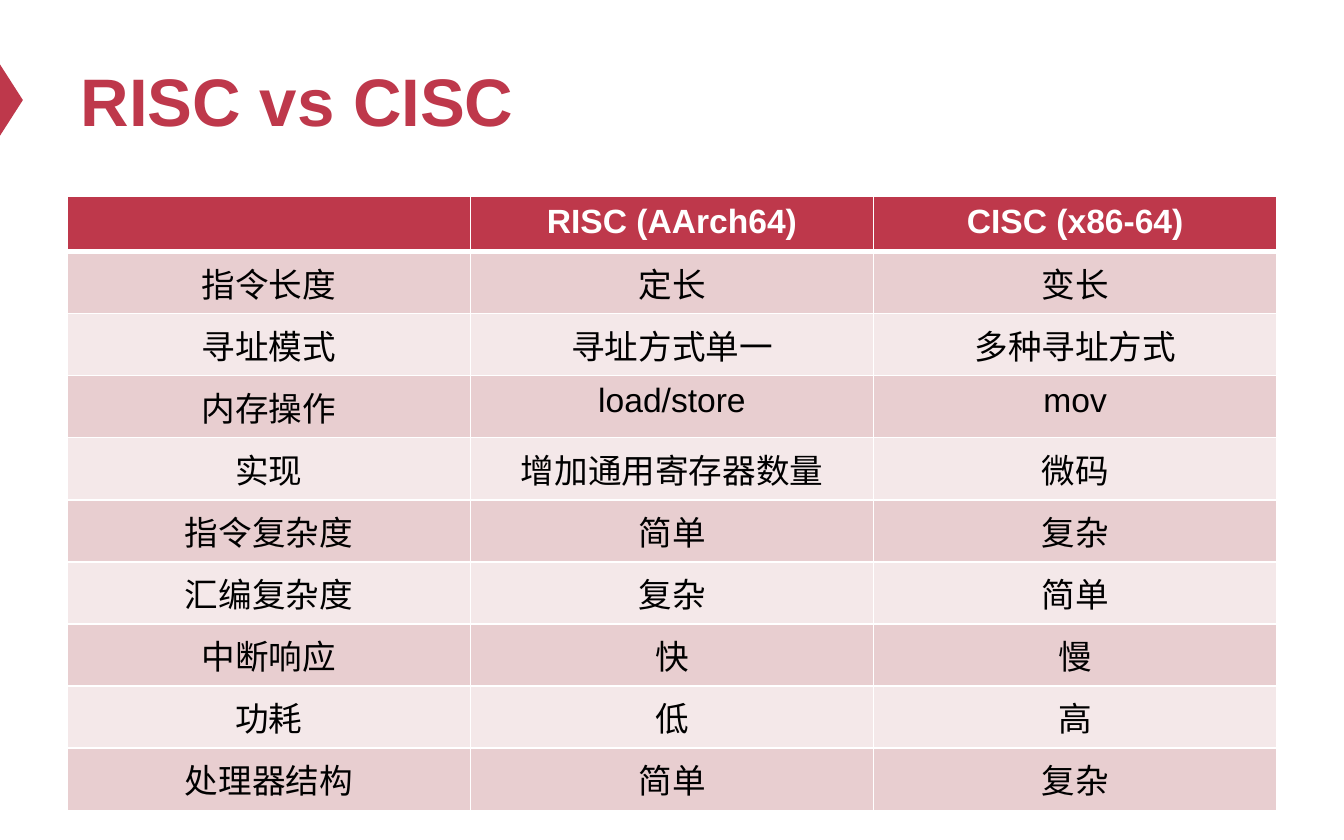
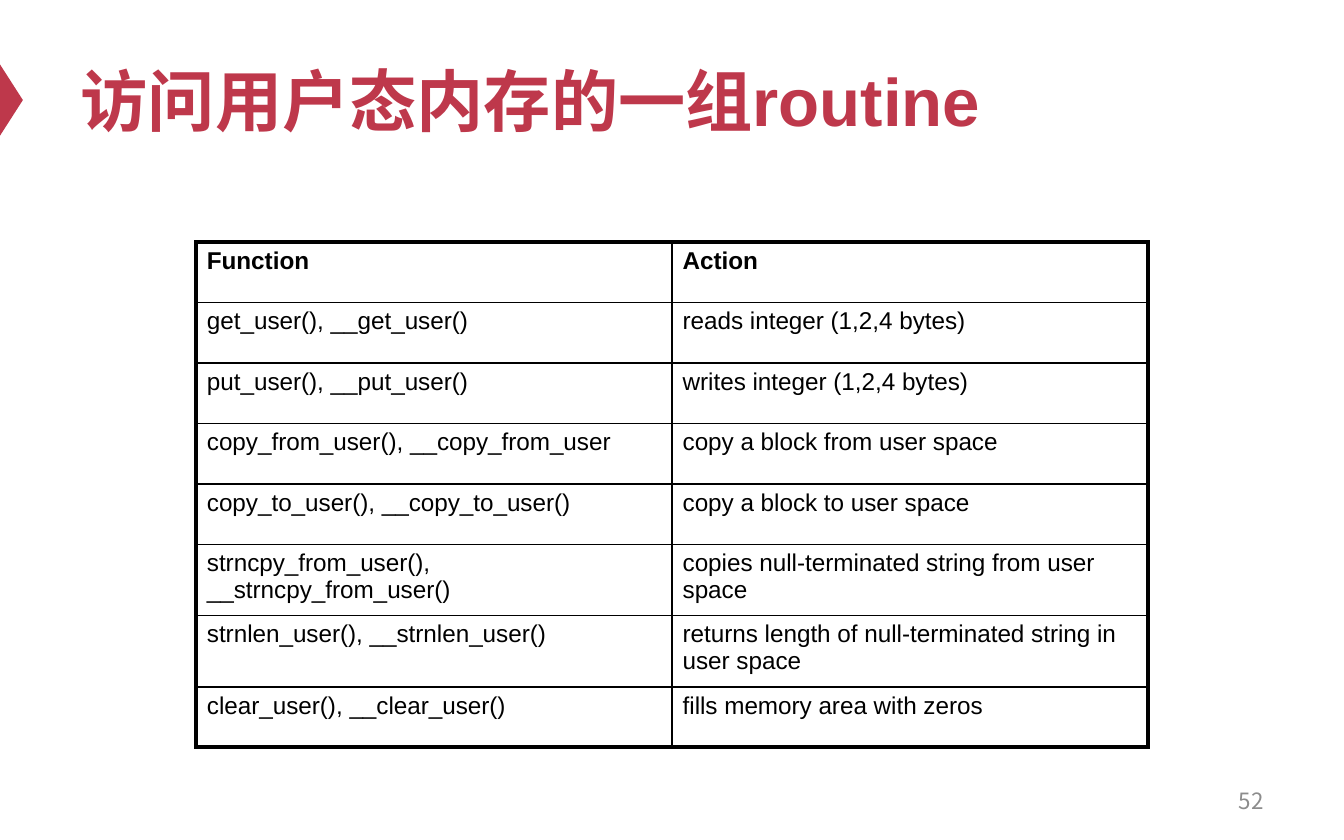
from lxml import etree
from pptx import Presentation
from pptx.dml.color import RGBColor
from pptx.enum import shapes, text
from pptx.oxml import ns
from pptx.util import Inches, Pt

RED = RGBColor(0xBE, 0x38, 0x4B)
ROSE = RGBColor(0xE8, 0xCE, 0xD0)
PALE_ROSE = RGBColor(0xF4, 0xE8, 0xE9)
WHITE = RGBColor(0xFF, 0xFF, 0xFF)
BLACK = RGBColor(0, 0, 0)
GRAY = RGBColor(0x8C, 0x8C, 0x8C)
LATIN_FONT = "Arial"
CJK_FONT = "Noto Sans CJK SC"
TITLE_ONLY = 5

COMPARISON = [
    ("", "RISC (AArch64)", "CISC (x86-64)"),
    ("指令长度", "定长", "变长"),
    ("寻址模式", "寻址方式单一", "多种寻址方式"),
    ("内存操作", "load/store", "mov"),
    ("实现", "增加通用寄存器数量", "微码"),
    ("指令复杂度", "简单", "复杂"),
    ("汇编复杂度", "复杂", "简单"),
    ("中断响应", "快", "慢"),
    ("功耗", "低", "高"),
    ("处理器结构", "简单", "复杂"),
]
ROUTINES = [
    ("Function", "Action"),
    ("get_user(), __get_user()", "reads integer (1,2,4 bytes)"),
    ("put_user(), __put_user()", "writes integer (1,2,4 bytes)"),
    ("copy_from_user(), __copy_from_user", "copy a block from user space"),
    ("copy_to_user(), __copy_to_user()", "copy a block to user space"),
    ("strncpy_from_user(), __strncpy_from_user()",
     "copies null-terminated string from user space"),
    ("strnlen_user(), __strnlen_user()",
     "returns length of null-terminated string in user space"),
    ("clear_user(), __clear_user()", "fills memory area with zeros"),
]


def write(frame, words, size=18, color=BLACK, bold=False, font=LATIN_FONT,
          align=text.PP_ALIGN.LEFT):
    """Put one formatted run into the first paragraph of a text frame."""
    paragraph = frame.paragraphs[0]
    paragraph.alignment = align
    run = paragraph.add_run()
    run.text = words
    run.font.size = Pt(size)
    run.font.bold = bold
    run.font.name = font
    run.font.color.rgb = color
    etree.SubElement(run.font._element, ns.qn("a:ea"), typeface=CJK_FONT)


def set_borders(cell, color, **widths):
    """Draw the cell's edges; widths are points for L, R, T and B."""
    properties = cell._tc.get_or_add_tcPr()
    for side in "LRTB":
        line = etree.SubElement(properties, ns.qn(f"a:ln{side}"),
                                w=str(Pt(widths[side])))
        fill = etree.SubElement(line, ns.qn("a:solidFill"))
        etree.SubElement(fill, ns.qn("a:srgbClr"), val=str(color))


def add_plain_table(slide, rows, left, top, width, heights):
    """Add an unbanded table with equal columns."""
    table = slide.shapes.add_table(
        len(rows), len(rows[0]), Inches(left), Inches(top),
        Inches(width), Inches(sum(heights))).table
    table.first_row = table.horz_banding = False
    for row, height in zip(table.rows, heights):
        row.height = Inches(height)
    return table


def add_titled_slide(deck, heading):
    """Start a slide with the side marker and the red title."""
    slide = deck.slides.add_slide(deck.slide_layouts[TITLE_ONLY])
    marker = slide.shapes.add_shape(
        shapes.MSO_SHAPE.ISOSCELES_TRIANGLE,
        Inches(-0.18), Inches(0.66), Inches(0.53), Inches(0.17))
    marker.rotation = 90
    marker.shadow.inherit = False
    marker.fill.solid()
    marker.fill.fore_color.rgb = RED
    marker.line.fill.background()

    title = slide.shapes.title
    title.left, title.top = Inches(0.5), Inches(0.25)
    title.width, title.height = Inches(9), Inches(0.98)
    frame = title.text_frame
    frame.auto_size = text.MSO_AUTO_SIZE.NONE
    frame.vertical_anchor = text.MSO_ANCHOR.MIDDLE
    write(frame, heading, size=36, color=RED, bold=True)
    return slide


def add_page_number(slide, number):
    box = slide.shapes.add_textbox(
        Inches(7.17), Inches(5.79), Inches(2.33), Inches(0.33))
    frame = box.text_frame
    frame.word_wrap = True
    frame.vertical_anchor = text.MSO_ANCHOR.MIDDLE
    write(frame, number, size=12, color=GRAY, font=CJK_FONT,
          align=text.PP_ALIGN.RIGHT)


def add_comparison_table(slide, left, top, width):
    """Red header over rows in alternating rose tints."""
    table = add_plain_table(slide, COMPARISON, left, top, width,
                            [0.41] * len(COMPARISON))
    for r, row in enumerate(COMPARISON):
        header = r == 0
        for c, words in enumerate(row):
            cell = table.cell(r, c)
            set_borders(cell, WHITE, L=1, R=1, T=3 if r == 1 else 1,
                        B=3 if header else 1)
            cell.fill.solid()
            cell.fill.fore_color.rgb = (
                RED if header else ROSE if r % 2 else PALE_ROSE)
            if words:
                write(cell.text_frame, words, bold=header,
                      color=WHITE if header else BLACK,
                      align=text.PP_ALIGN.CENTER)


def add_routine_table(slide, left, top, width):
    """Black grid with a heavy outer frame; wrapping rows are taller."""
    heights = [0.53 if len(action) > 40 else 0.45 for _, action in ROUTINES]
    table = add_plain_table(slide, ROUTINES, left, top, width, heights)
    heavy, thin = 2.25, 1
    last_row, last_column = len(ROUTINES) - 1, len(ROUTINES[0]) - 1
    for r, row in enumerate(ROUTINES):
        for c, words in enumerate(row):
            cell = table.cell(r, c)
            set_borders(cell, BLACK,
                        L=heavy if c == 0 else thin,
                        R=heavy if c == last_column else thin,
                        T=heavy if r == 0 else thin,
                        B=heavy if r == last_row else thin)
            cell.fill.background()
            cell.margin_left = cell.margin_right = Inches(0.08)
            cell.margin_top = cell.margin_bottom = Inches(0.04)
            write(cell.text_frame, words, size=13, bold=r == 0)


def main():
    deck = Presentation()
    deck.slide_width, deck.slide_height = Inches(10), Inches(6.25)

    # Instruction set comparison
    comparison = add_titled_slide(deck, "RISC vs CISC")
    add_comparison_table(comparison, left=0.5, top=1.46, width=9)

    # User memory access routines
    routines = add_titled_slide(deck, "访问用户态内存的一组routine")
    add_page_number(routines, "52")
    add_routine_table(routines, left=1.46, top=1.8, width=7.08)

    deck.save("out.pptx")


if __name__ == "__main__":
    main()
